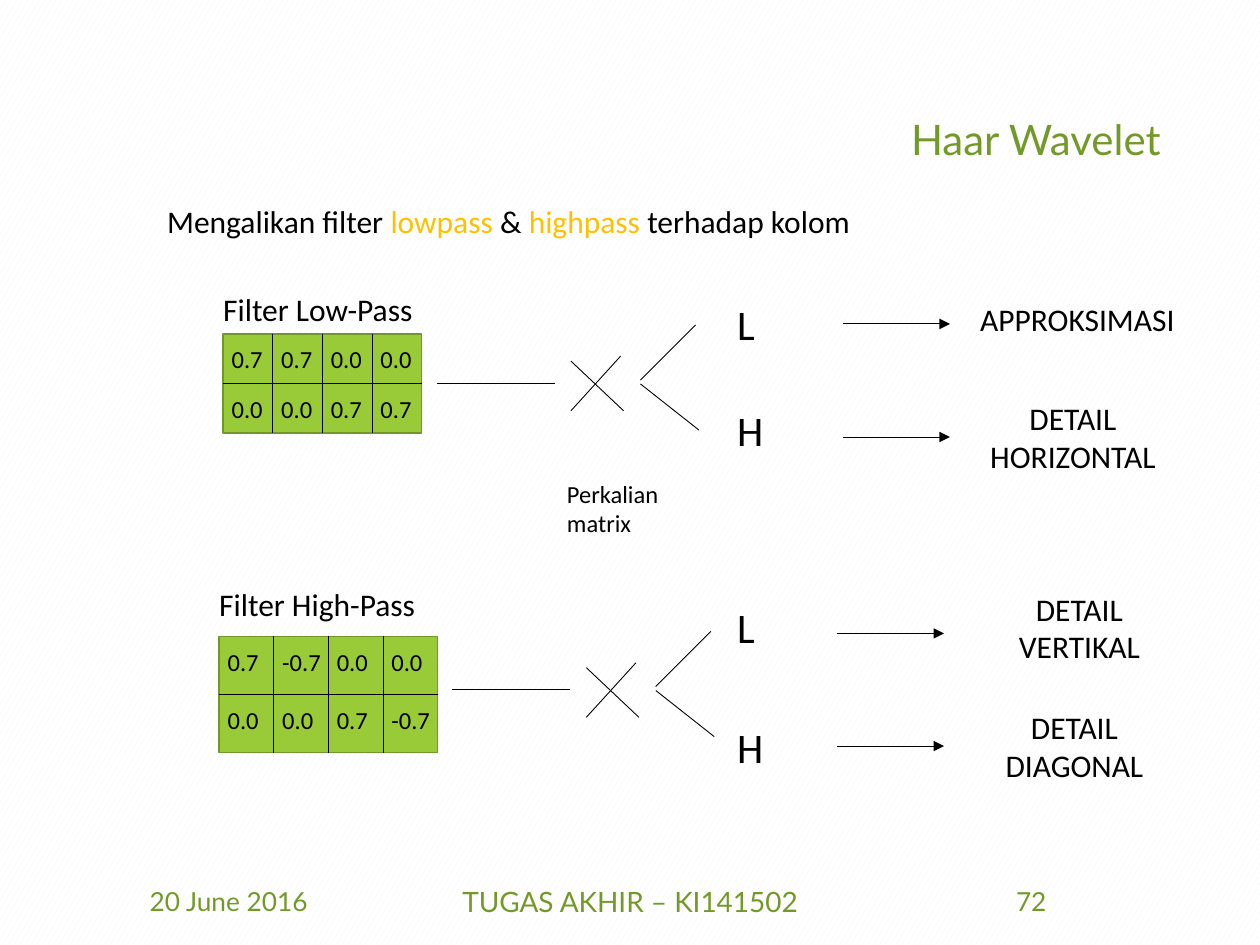
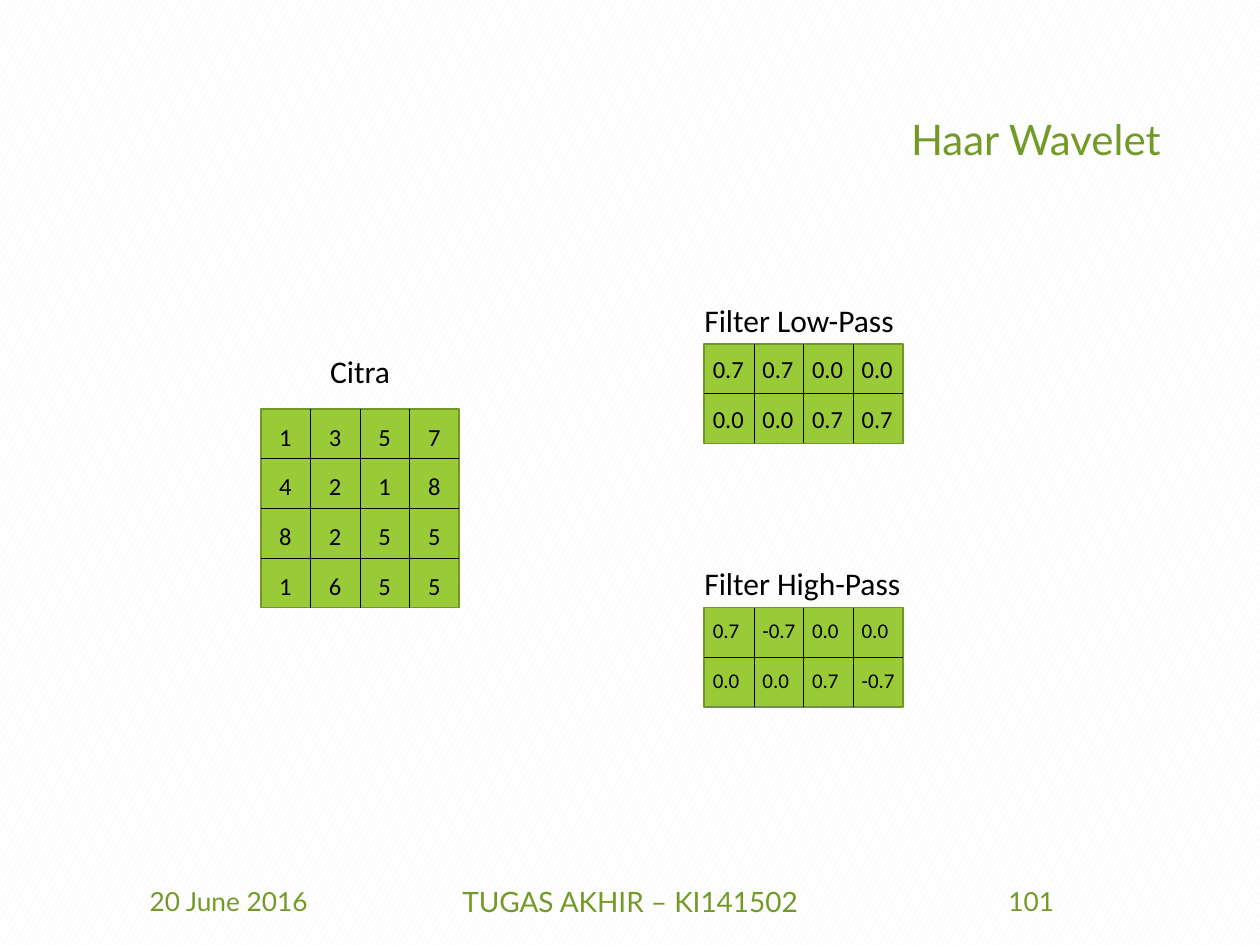
from dataclasses import dataclass

from lxml import etree
from pptx import Presentation
from pptx.dml.color import RGBColor
from pptx.enum.dml import MSO_PATTERN
from pptx.enum.shapes import MSO_CONNECTOR as Connector, MSO_SHAPE as Preset
from pptx.enum.text import MSO_ANCHOR as Anchor, PP_ALIGN as Align
from pptx.oxml.ns import qn
from pptx.util import Cm, Pt


@dataclass(frozen=True)
class Theme:
    ink: RGBColor = RGBColor(0x00, 0x00, 0x00)
    paper: RGBColor = RGBColor(0xFF, 0xFF, 0xFF)
    texture: RGBColor = RGBColor(0xF2, 0xF2, 0xF2)
    heading: RGBColor = RGBColor(0x73, 0x9A, 0x28)
    accent: RGBColor = RGBColor(0xFF, 0xC0, 0x00)
    matrix: RGBColor = RGBColor(0x99, 0xCB, 0x38)
    matrix_edge: RGBColor = RGBColor(0x71, 0x96, 0x29)
    heading_font: str = "Lato"
    body_font: str = "Calibri"
    title_size: int = 24
    footer_size: int = 16
    date_size: int = 15
    body_size: int = 18
    cell_size: int = 14
    small_cell_size: int = 12
    letter_size: int = 24
    hairline: float = 0.5
    edge: float = 1


THEME = Theme()
LOW_PASS = [["0.7", "0.7", "0.0", "0.0"], ["0.0", "0.0", "0.7", "0.7"]]
HIGH_PASS = [["0.7", "-0.7", "0.0", "0.0"], ["0.0", "0.0", "0.7", "-0.7"]]
IMAGE = ["1357", "4218", "8255", "1655"]


def style(paragraph, size, color=THEME.ink, face=THEME.body_font, align=Align.LEFT):
    paragraph.alignment = align
    paragraph.font.size = Pt(size)
    paragraph.font.name = face
    paragraph.font.color.rgb = color


def write(shapes, box, words, size, anchor=Anchor.TOP, **look):
    frame = shapes.add_textbox(*map(Cm, box)).text_frame
    frame.word_wrap = True
    frame.vertical_anchor = anchor
    frame.text = words
    style(frame.paragraphs[0], size, **look)
    return frame


def draw_line(shapes, start, end, arrow=False):
    line = shapes.add_connector(Connector.STRAIGHT, *map(Cm, (*start, *end)))
    line.line.color.rgb = THEME.ink
    line.line.width = Pt(THEME.hairline)
    if arrow:
        etree.SubElement(line.line._get_or_add_ln(), qn("a:tailEnd"), type="triangle")
    etree.SubElement(line._element.spPr, qn("a:effectLst"))
    return line


def add_page(deck, number):
    slide = deck.slides.add_slide(deck.slide_layouts[5])
    title = slide.shapes.title
    title.left, title.top, title.width, title.height = map(Cm, (1.75, 1.02, 21.9, 3.68))
    title.text_frame.text = "Haar Wavelet"
    title.text_frame.vertical_anchor = Anchor.MIDDLE
    heading = title.text_frame.paragraphs[0]
    heading.line_spacing = 0.9
    style(heading, THEME.title_size, THEME.heading, THEME.heading_font, Align.RIGHT)
    for left, width, words, size in (
        (1.75, 5.72, "20 June 2016", THEME.date_size),
        (8.41, 8.59, "TUGAS AKHIR – KI141502", THEME.footer_size),
        (17.93, 5.72, number, THEME.date_size),
    ):
        write(slide.shapes, (left, 17.65, width, 1.02), words, size, Anchor.MIDDLE,
              color=THEME.heading, face=THEME.heading_font, align=Align.CENTER)
    return slide


def add_matrix(slide, box, caption, rows, caption_rise=1.0, size=THEME.cell_size,
               cell_shift=(-0.08, 0.08), align=Align.LEFT):
    left, top, width, height = box
    row_count, column_count = len(rows), len(rows[0])
    cell_width, cell_height = width / column_count, height / row_count
    shapes = slide.shapes.add_group_shape().shapes

    panel = shapes.add_shape(Preset.RECTANGLE, *map(Cm, box))
    panel.shadow.inherit = False
    panel.fill.solid()
    panel.fill.fore_color.rgb = THEME.matrix
    panel.line.color.rgb = THEME.matrix_edge
    panel.line.width = Pt(THEME.edge)

    for row in range(1, row_count):
        y = top + row * cell_height
        rule = draw_line(shapes, (left, y), (left + width, y))
        if row * 2 == row_count:
            rule.begin_connect(panel, 1)
            rule.end_connect(panel, 3)
    for column in range(1, column_count):
        x = left + column * cell_width
        rule = draw_line(shapes, (x, top), (x, top + height))
        if column * 2 == column_count:
            rule.begin_connect(panel, 0)
            rule.end_connect(panel, 2)

    shift_x, shift_y = cell_shift
    for row, values in enumerate(rows):
        for column, value in enumerate(values):
            cell = (left + column * cell_width + shift_x, top + row * cell_height + shift_y,
                    cell_width + 0.2, 0.86)
            write(shapes, cell, value, size)
    write(shapes, (left - 0.25, top - caption_rise, width + 0.5, 1.02), caption,
          THEME.body_size, align=align)


def add_multiplication(slide, left, middle):
    for x1, y1, x2, y2 in (
        (0, 0, 2.37, 0),
        (2.7, -0.44, 3.76, 0.56),
        (2.7, 0.56, 3.7, -0.54),
        (4.1, -0.06, 5.21, -1.17),
        (4.1, 0.02, 5.28, 0.95),
    ):
        draw_line(slide.shapes, (left + x1, middle + y1), (left + x2, middle + y2))


def add_output(slide, left, middle, letter, letter_rise, result, result_box,
               align=Align.CENTER):
    result_x, result_rise, result_height = result_box
    write(slide.shapes, (14.61, middle - letter_rise, 1.24, 1.27), letter, THEME.letter_size)
    draw_line(slide.shapes, (left, middle), (left + 2.16, middle), arrow=True)
    write(slide.shapes, (left + result_x, middle - result_rise, 4.5, result_height), result,
          THEME.body_size, align=align)


def build_column_filtering(deck):
    slide = add_page(deck, "72")
    intro = write(slide.shapes, (3.12, 3.94, 14.83, 1.02), "", THEME.body_size).paragraphs[0]
    for words, color in (
        ("Mengalikan filter ", THEME.ink), ("lowpass", THEME.accent), (" & ", THEME.ink),
        ("highpass", THEME.accent), (" terhadap kolom", THEME.ink),
    ):
        run = intro.add_run()
        run.text = words
        run.font.color.rgb = color

    add_matrix(slide, (4.5, 6.73, 4, 2), "Filter Low-Pass", LOW_PASS)
    add_matrix(slide, (4.42, 12.83, 4.4, 2.34), "Filter High-Pass", HIGH_PASS, 1.17)
    add_multiplication(slide, 8.81, 7.72)
    add_multiplication(slide, 9.12, 13.9)
    write(slide.shapes, (11.18, 9.53, 3.71, 1.45), "Perkalian matrix", THEME.cell_size)

    add_output(slide, 16.99, 6.53, "L", 0.64, "APPROKSIMASI", (2.52, 0.61, 1.02), Align.LEFT)
    add_output(slide, 16.99, 8.81, "H", 0.78, "DETAIL HORIZONTAL", (2.39, 0.89, 1.8))
    add_output(slide, 16.87, 12.77, "L", 0.76, "DETAIL VERTIKAL", (2.64, 1.01, 1.8))
    add_output(slide, 16.87, 15.04, "H", 0.61, "DETAIL DIAGONAL", (2.54, 0.89, 1.8))


def build_image_and_filters(deck):
    slide = add_page(deck, "101")
    add_matrix(slide, (14.2, 6.94, 4, 2), "Filter Low-Pass", LOW_PASS)
    add_matrix(slide, (14.2, 12.25, 4, 2), "Filter High-Pass", HIGH_PASS,
               size=THEME.small_cell_size)
    add_matrix(slide, (5.26, 8.25, 4, 4), "Citra", IMAGE, 1.27,
               cell_shift=(0.12, 0.13), align=Align.CENTER)


def main():
    deck = Presentation()
    deck.slide_width, deck.slide_height = Cm(25.4), Cm(19.05)
    backdrop = deck.slide_master.background.fill
    backdrop.patterned()
    backdrop.pattern = MSO_PATTERN.LARGE_CONFETTI
    backdrop.fore_color.rgb = THEME.texture
    backdrop.back_color.rgb = THEME.paper
    build_column_filtering(deck)
    build_image_and_filters(deck)
    deck.save("out.pptx")


if __name__ == "__main__":
    main()
